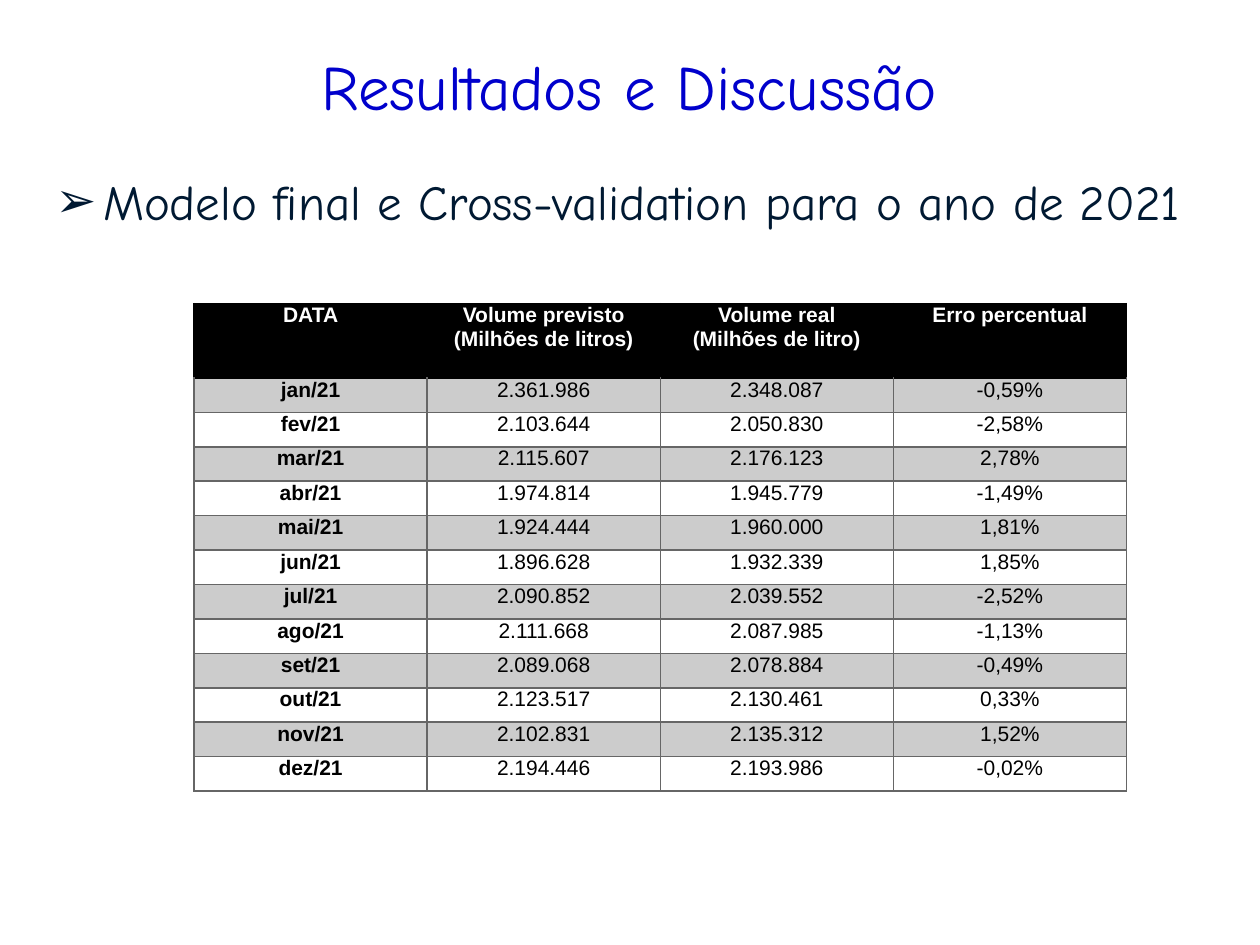
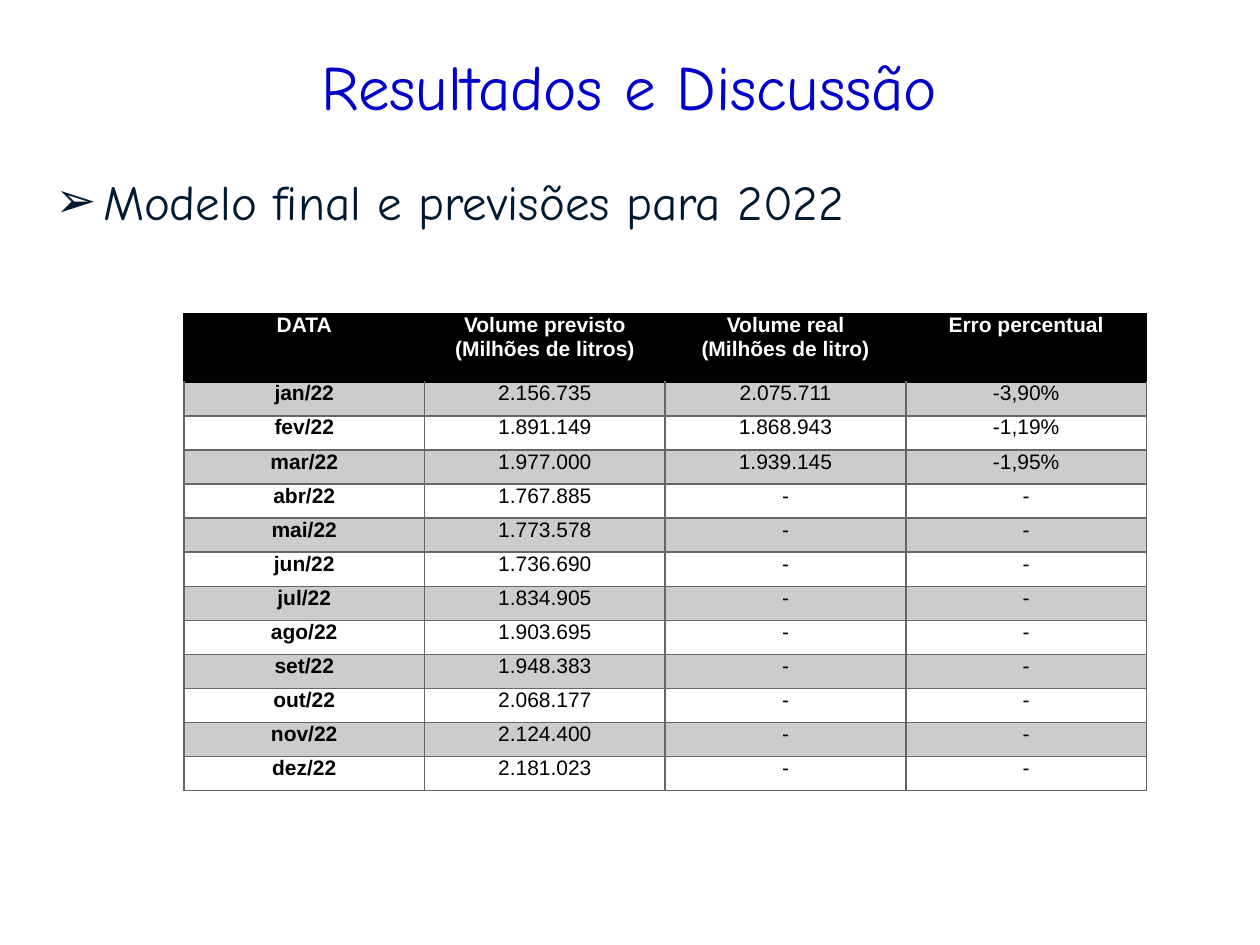
from dataclasses import dataclass
from typing import Any

from lxml import etree
from pptx import Presentation
from pptx.dml.color import RGBColor
from pptx.enum.text import MSO_ANCHOR, PP_ALIGN
from pptx.oxml.ns import qn
from pptx.util import Inches, Pt

CENTER, LEFT = PP_ALIGN.CENTER, PP_ALIGN.LEFT
TOP, MIDDLE = MSO_ANCHOR.TOP, MSO_ANCHOR.MIDDLE

BLUE, NAVY = "0000CC", "001932"
BLACK, WHITE, GREY, RULE = "000000", "FFFFFF", "CCCCCC", "666666"
HAND, SANS = "Comic Neue", "Arial"

TITLE = "Resultados e Discussão"
HEADS = (
    "DATA",
    "Volume previsto (Milhões de litros)",
    "Volume real\n(Milhões de litro)",
    "Erro percentual",
)
MONTHS = "jan fev mar abr mai jun jul ago set out nov dez".split()
NO_DATA = ("-", "-")


@dataclass(frozen=True)
class Box:
    left: float
    top: float
    width: float
    height: float

    def size(self) -> list[int]:
        return [Inches(n) for n in (self.left, self.top, self.width, self.height)]


@dataclass(frozen=True)
class Style:
    face: str
    size: float
    ink: str
    bold: bool = False
    align: PP_ALIGN = CENTER


@dataclass(frozen=True)
class Page:
    topic: str
    year: int
    grid: Box
    head: float
    rows: tuple[tuple[str, str, str], ...]


TITLE_BOX = Box(0.27, 0.28, 9.45, 0.79)
TOPIC_BOX = Box(0.34, 1.31, 9.39, 4.97)
TITLE_STYLE = Style(HAND, 36, BLUE)
TOPIC_STYLE = Style(HAND, 28, NAVY, align=LEFT)
HEAD_STYLE = Style(SANS, 12, WHITE, True)
MONTH_STYLE = Style(SANS, 12, BLACK, True)
VALUE_STYLE = Style(SANS, 12, BLACK)
CELL = {
    "margin_left": Inches(0.07),
    "margin_right": Inches(0.07),
    "margin_top": 0,
    "margin_bottom": 0,
    "vertical_anchor": TOP,
}

PAGES = (
    Page(
        "Modelo final e Cross-validation para o ano de 2021",
        21,
        Box(1.54, 2.41, 7.4, 3.87),
        0.59,
        (
            ("2.361.986", "2.348.087", "-0,59%"),
            ("2.103.644", "2.050.830", "-2,58%"),
            ("2.115.607", "2.176.123", "2,78%"),
            ("1.974.814", "1.945.779", "-1,49%"),
            ("1.924.444", "1.960.000", "1,81%"),
            ("1.896.628", "1.932.339", "1,85%"),
            ("2.090.852", "2.039.552", "-2,52%"),
            ("2.111.668", "2.087.985", "-1,13%"),
            ("2.089.068", "2.078.884", "-0,49%"),
            ("2.123.517", "2.130.461", "0,33%"),
            ("2.102.831", "2.135.312", "1,52%"),
            ("2.194.446", "2.193.986", "-0,02%"),
        ),
    ),
    Page(
        "Modelo final e previsões para 2022",
        22,
        Box(1.46, 2.49, 7.64, 3.79),
        0.54,
        (
            ("2.156.735", "2.075.711", "-3,90%"),
            ("1.891.149", "1.868.943", "-1,19%"),
            ("1.977.000", "1.939.145", "-1,95%"),
            ("1.767.885", *NO_DATA),
            ("1.773.578", *NO_DATA),
            ("1.736.690", *NO_DATA),
            ("1.834.905", *NO_DATA),
            ("1.903.695", *NO_DATA),
            ("1.948.383", *NO_DATA),
            ("2.068.177", *NO_DATA),
            ("2.124.400", *NO_DATA),
            ("2.181.023", *NO_DATA),
        ),
    ),
)


def color(code: str) -> RGBColor:
    return RGBColor.from_string(code)


def apply(item: Any, values: dict[str, Any]) -> None:
    for name, value in values.items():
        setattr(item, name, value)


def write(frame: Any, text: str, style: Style) -> None:
    frame.text = text
    font = {"name": style.face, "size": Pt(style.size), "bold": style.bold}
    for para in frame.paragraphs:
        para.alignment = style.align
        for run in para.runs:
            apply(run.font, font)
            run.font.color.rgb = color(style.ink)


def add_text(slide: Any, box: Box, text: str, style: Style, anchor: MSO_ANCHOR) -> Any:
    frame = slide.shapes.add_textbox(*box.size()).text_frame
    apply(frame, {"word_wrap": True, "vertical_anchor": anchor})
    write(frame, text, style)
    return frame.paragraphs[0]


def add_bullet(para: Any, mark: str, ink: str) -> None:
    props = para._p.get_or_add_pPr()
    props.set("marL", str(Inches(0.38)))
    props.set("indent", str(Inches(-0.38)))
    tint = etree.SubElement(props, qn("a:buClr"))
    etree.SubElement(tint, qn("a:srgbClr"), val=ink)
    etree.SubElement(props, qn("a:buFont"), typeface=SANS)
    etree.SubElement(props, qn("a:buChar"), char=mark)


def add_edges(cell: Any, inks: dict[str, str]) -> None:
    props = cell._tc.get_or_add_tcPr()
    for place, (side, ink) in enumerate(inks.items()):
        line = etree.Element(qn(f"a:ln{side}"), w=str(Pt(1)))
        fill = etree.SubElement(line, qn("a:solidFill"))
        etree.SubElement(fill, qn("a:srgbClr"), val=ink)
        props.insert(place, line)


def fill_cell(cell: Any, text: str, row: int, col: int) -> None:
    if row == 0:
        style, back, edge = HEAD_STYLE, BLACK, BLACK
    else:
        style = VALUE_STYLE if col else MONTH_STYLE
        back, edge = (GREY if row % 2 else WHITE), RULE
    apply(cell, CELL)
    write(cell.text_frame, text, style)
    cell.fill.solid()
    cell.fill.fore_color.rgb = color(back)
    roof = BLACK if row < 2 else RULE
    add_edges(cell, {"L": edge, "R": edge, "T": roof, "B": edge})


def add_grid(slide: Any, page: Page) -> None:
    body = [(f"{month}/{page.year}", *row) for month, row in zip(MONTHS, page.rows)]
    data = [HEADS, *body]
    table = slide.shapes.add_table(len(data), len(HEADS), *page.grid.size()).table
    apply(table, {"first_row": False, "horz_banding": False})
    for col in table.columns:
        col.width = Inches(page.grid.width / len(HEADS))
    step = (page.grid.height - page.head) / len(body)
    for row, texts in enumerate(data):
        table.rows[row].height = Inches(step if row else page.head)
        for col, text in enumerate(texts):
            fill_cell(table.cell(row, col), text, row, col)


def add_page(deck: Any, page: Page) -> None:
    slide = deck.slides.add_slide(deck.slide_layouts[6])
    add_text(slide, TITLE_BOX, TITLE, TITLE_STYLE, MIDDLE)
    topic = add_text(slide, TOPIC_BOX, page.topic, TOPIC_STYLE, TOP)
    topic.space_before = Pt(TOPIC_STYLE.size * 0.2)
    add_bullet(topic, "➢", NAVY)
    add_grid(slide, page)


def main() -> None:
    deck = Presentation()
    apply(deck, {"slide_width": Inches(10), "slide_height": Inches(7.5)})
    for page in PAGES:
        add_page(deck, page)
    deck.save("out.pptx")


main()
